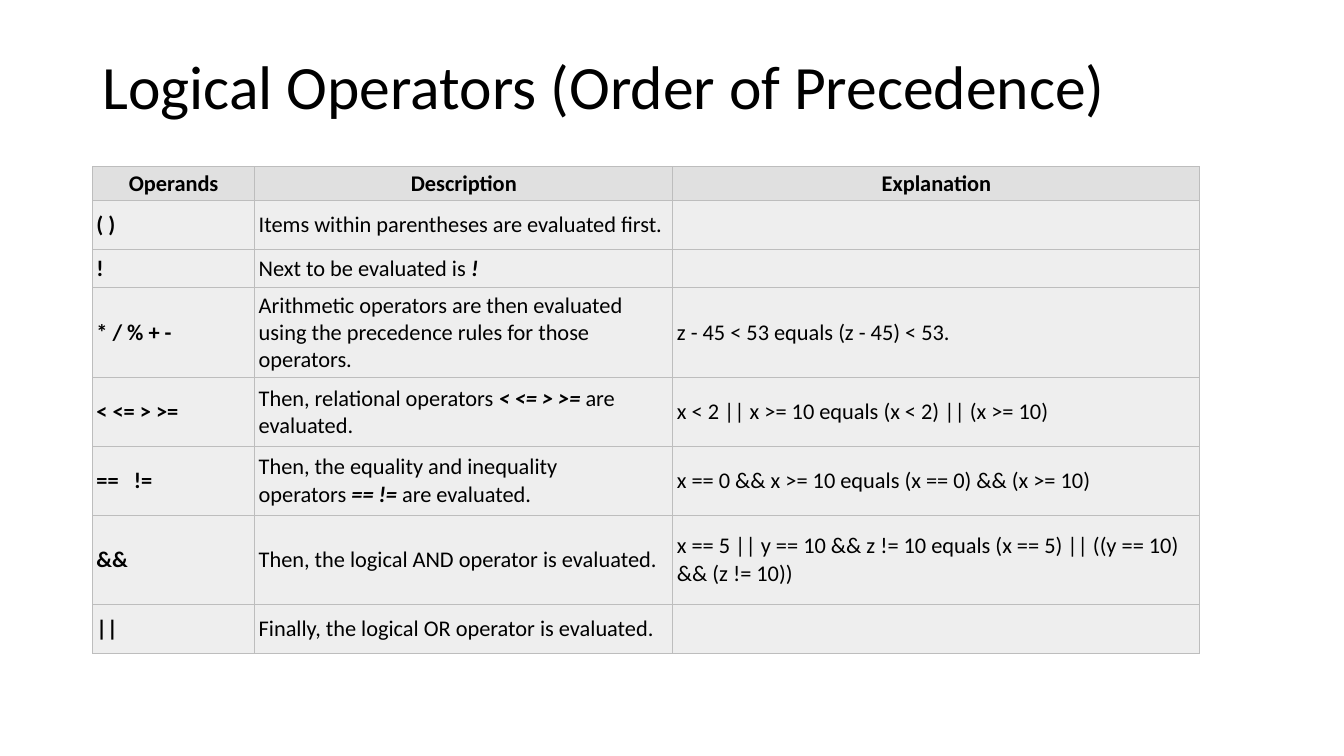
from lxml.etree import SubElement
from pptx import Presentation
from pptx.dml.color import RGBColor
from pptx.enum.text import MSO_ANCHOR as Anchor, PP_ALIGN as Align
from pptx.oxml.ns import qn
from pptx.util import Cm, Pt

BLACK = RGBColor(0x00, 0x00, 0x00)
HEADER_GREY = RGBColor(0xE0, 0xE0, 0xE0)
BODY_GREY = RGBColor(0xEE, 0xEE, 0xEE)
BORDER_GREY = RGBColor(0xBD, 0xBD, 0xBD)

COLUMN_WIDTHS = [4.09, 10.54, 13.28]
ROW_HEIGHTS = [0.84, 1.25, 0.94, 2.27, 1.73, 1.73, 2.24, 1.25]
HEADINGS = ["Operands", "Description", "Explanation"]
# In a description, every second part is an emphasised operator.
PRECEDENCE = [
    ("( )", ["Items within parentheses are evaluated first."], ""),
    ("!", ["Next to be evaluated is\u00a0", "!"], ""),
    ("* / % + -",
     ["Arithmetic operators are then evaluated using the precedence rules "
      "for those operators."],
     "z - 45 < 53\u00a0equals\u00a0(z - 45) < 53."),
    ("< <= > >=",
     ["Then, relational operators\u00a0", "< <= > >=", "\u00a0are evaluated."],
     "x < 2 || x >= 10\u00a0equals\u00a0(x < 2) || (x >= 10)"),
    ("== \u00a0 !=",
     ["Then, the equality and inequality operators\u00a0", "== !=",
      "\u00a0are evaluated."],
     "x == 0 && x >= 10\u00a0equals\u00a0(x == 0) && (x >= 10)"),
    ("&&", ["Then, the logical AND operator is evaluated."],
     "x == 5 || y == 10 && z != 10\u00a0equals\u00a0"
     "(x == 5) || ((y == 10) && (z != 10))\u00a0"),
    ("||", ["Finally, the logical OR operator is evaluated."], ""),
]


def apply(target, values):
    """Set every attribute named in values on target."""
    for name, value in values.items():
        setattr(target, name, value)


class SlideBuilder:
    """Holds the text style and the current slide."""

    font = {"name": "Calibri", "size": Pt(16), "bold": False, "italic": False}

    def __init__(self, slide):
        """Keep the slide to draw on."""
        self.slide = slide

    def run(self, paragraph, text, **changes):
        """Add a run in the base style with some changes."""
        run = paragraph.add_run()
        run.text = text
        apply(run.font, self.font | changes)
        run.font.color.rgb = BLACK

    def title(self, text, left, top, width, height):
        """Add the slide title."""
        box = self.slide.shapes.add_textbox(
            Cm(left), Cm(top), Cm(width), Cm(height))
        apply(box.text_frame,
              {"word_wrap": True, "vertical_anchor": Anchor.MIDDLE})
        paragraph = box.text_frame.paragraphs[0]
        paragraph.line_spacing = 0.9
        self.run(paragraph, text, size=Pt(44))

    def table(self, left, top, widths, heights):
        """Add an empty table with the given column and row sizes."""
        table = self.slide.shapes.add_table(
            len(heights), len(widths), Cm(left), Cm(top),
            Cm(sum(widths)), Cm(sum(heights))).table
        table.horz_banding = False
        for column, width in zip(table.columns, widths):
            column.width = Cm(width)
        for row, height in zip(table.rows, heights):
            row.height = Cm(height)
        return table

    def border(self, cell):
        """Draw a thin line on all four sides of a cell."""
        properties = cell._tc.get_or_add_tcPr()
        for side in ("lnL", "lnR", "lnT", "lnB"):
            line = SubElement(properties, qn(f"a:{side}"), w=str(Pt(0.75)))
            fill = SubElement(line, qn("a:solidFill"))
            SubElement(fill, qn("a:srgbClr"), val=str(BORDER_GREY))

    def cell(self, cell, parts, color, margin, align=Align.LEFT, bold=False):
        """Fill a cell with text parts, every second one emphasised."""
        self.border(cell)
        cell.fill.solid()
        cell.fill.fore_color.rgb = color
        sides = ("left", "right", "top", "bottom")
        apply(cell, {f"margin_{side}": Cm(margin) for side in sides})
        cell.vertical_anchor = Anchor.MIDDLE
        paragraph = cell.text_frame.paragraphs[0]
        paragraph.alignment = align
        for index, text in enumerate(parts):
            emphasised = index % 2 == 1
            self.run(paragraph, text, bold=bold or emphasised,
                     italic=emphasised)


def main():
    """Build the slide and save it."""
    presentation = Presentation()
    apply(presentation, {"slide_width": Cm(33.87), "slide_height": Cm(19.05)})
    builder = SlideBuilder(
        presentation.slides.add_slide(presentation.slide_layouts[6]))
    builder.title("Logical Operators (Order of Precedence)",
                  2.33, 1.02, 29.21, 2.49)
    table = builder.table(2.33, 4.2, COLUMN_WIDTHS, ROW_HEIGHTS)
    for column, heading in enumerate(HEADINGS):
        builder.cell(table.cell(0, column), [heading], HEADER_GREY, 0.08,
                     Align.CENTER, bold=True)
    for row, (operands, description, explanation) in enumerate(PRECEDENCE, 1):
        for column, parts in enumerate(
                ([operands], description, [explanation])):
            builder.cell(table.cell(row, column), parts, BODY_GREY, 0.1,
                         bold=column == 0)
    presentation.save("out.pptx")


main()
